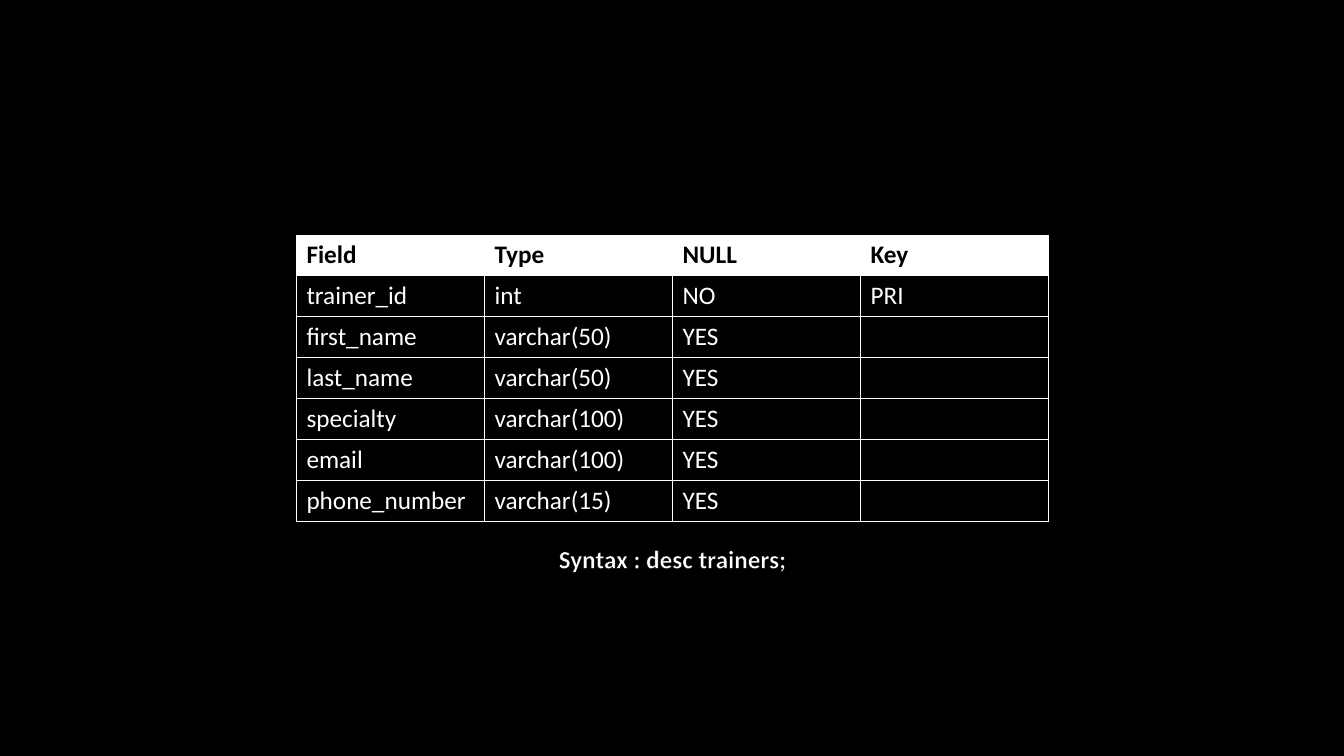
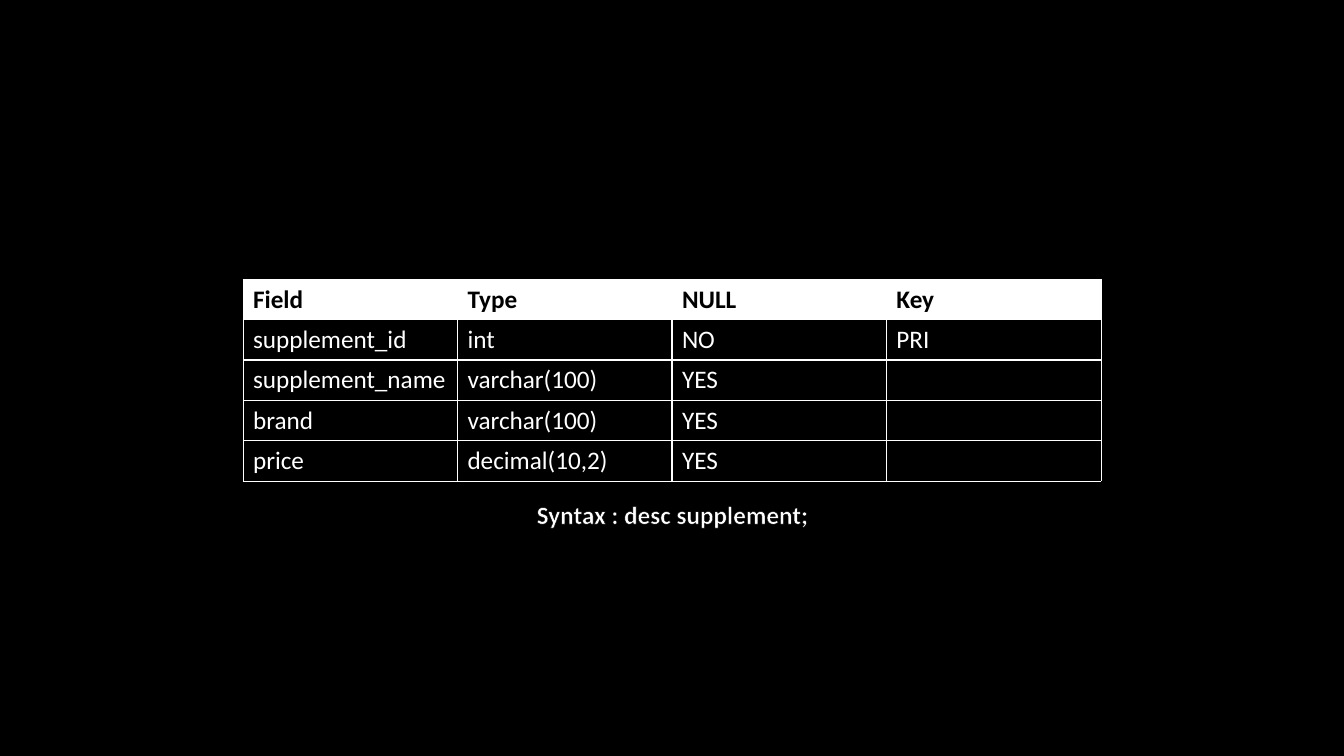
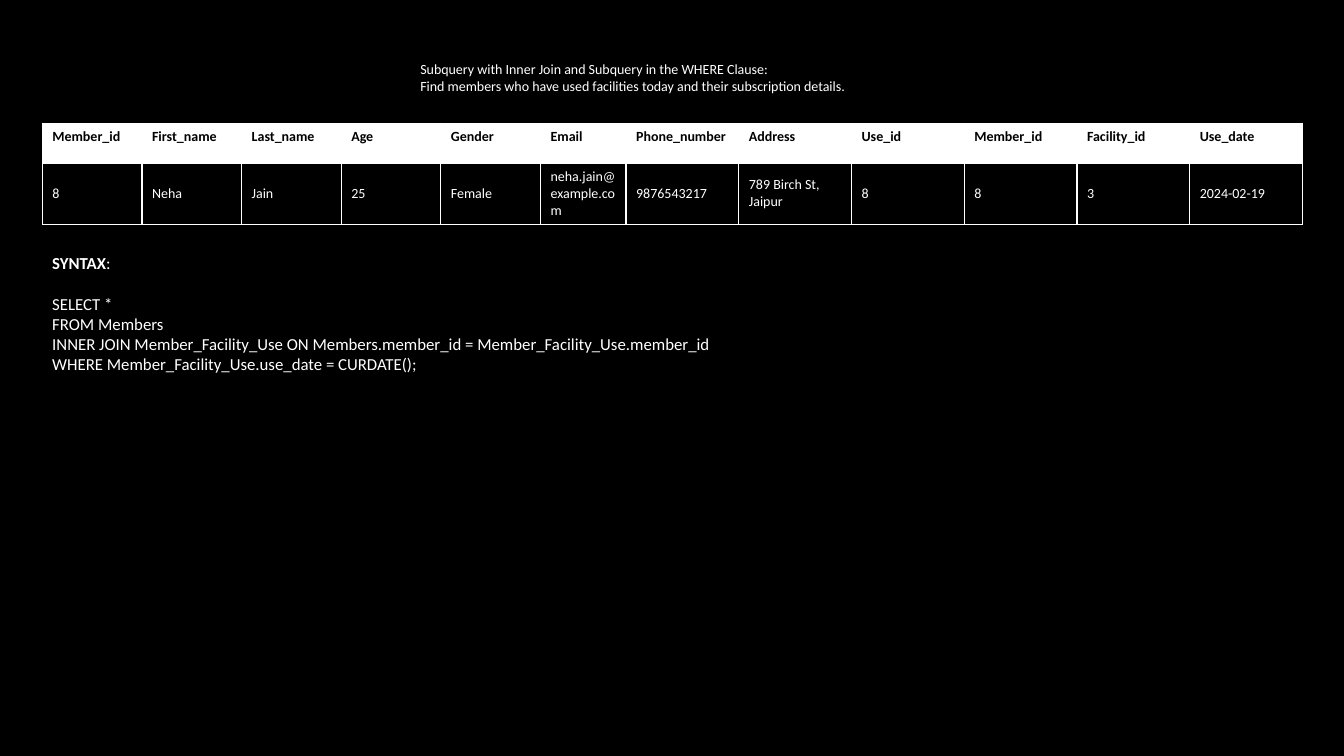
from lxml.etree import SubElement
from pptx import Presentation
from pptx.dml.color import RGBColor
from pptx.enum.text import MSO_ANCHOR as Anchor, MSO_AUTO_SIZE as AutoSize, PP_ALIGN as Align
from pptx.oxml import parse_xml
from pptx.oxml.ns import nsdecls, qn
from pptx.util import Inches, Pt

COLORS = {"ground": "000000", "ink": "FFFFFF"}
FONT = "Calibri"
SLIDE_WIDTH, SLIDE_HEIGHT = 13.33, 7.5
INNER_LINE, OUTER_LINE = 1, 0.5
DESC_HEADER = ["Field", "Type", "NULL", "Key"]
TRAINER_FIELDS = [
    ["trainer_id", "int", "NO", "PRI"],
    ["first_name", "varchar(50)", "YES", ""],
    ["last_name", "varchar(50)", "YES", ""],
    ["specialty", "varchar(100)", "YES", ""],
    ["email", "varchar(100)", "YES", ""],
    ["phone_number", "varchar(15)", "YES", ""],
]
SUPPLEMENT_FIELDS = [
    ["supplement_id", "int", "NO", "PRI"],
    ["supplement_name", "varchar(100)", "YES", ""],
    ["brand", "varchar(100)", "YES", ""],
    ["price", "decimal(10,2)", "YES", ""],
]
MEMBER_HEADER = [
    "Member_id", "First_name", "Last_name", "Age", "Gender", "Email",
    "Phone_number", "Address", "Use_id", "Member_id", "Facility_id", "Use_date",
]
MEMBER = [
    "8", "Neha", "Jain", "25", "Female", "neha.jain@example.com",
    "9876543217", "789 Birch St, Jaipur", "8", "8", "3", "2024-02-19",
]
MEMBER_COLUMNS = [0.99] * 5 + [0.85] + [1.12] * 6
QUESTION = [
    "Subquery with Inner Join and Subquery in the WHERE Clause:",
    "Find members who have used facilities today and their subscription details.",
]
QUERY = [
    "SYNTAX",
    "SELECT *",
    "FROM Members",
    "INNER JOIN Member_Facility_Use ON Members.member_id = Member_Facility_Use.member_id",
    "WHERE Member_Facility_Use.use_date = CURDATE();",
]


def rgb(name):
    """Return the named palette colour."""
    return RGBColor.from_string(COLORS[name])


def style_run(run, size, color="ink", bold=False):
    """Apply the deck font to a run."""
    font = run.font
    font.name, font.size, font.bold = FONT, Pt(size), bold
    font.color.rgb = rgb(color)


def add_slide(prs):
    """Add a blank slide on the dark ground."""
    slide = prs.slides.add_slide(prs.slide_layouts[6])
    slide.background.fill.solid()
    slide.background.fill.fore_color.rgb = rgb("ground")
    return slide


def add_lines(slide, box, lines, size, bold=False, align=Align.LEFT):
    """Place one paragraph per line in a box and return the paragraphs."""
    frame = slide.shapes.add_textbox(*map(Inches, box)).text_frame
    frame.word_wrap = True
    frame.auto_size = AutoSize.SHAPE_TO_FIT_TEXT
    frame.text = "\n".join(lines)
    for paragraph in frame.paragraphs:
        paragraph.alignment = align
        for run in paragraph.runs:
            style_run(run, size, bold=bold)
    return frame.paragraphs


def outline_run(run, width=0.75):
    """Outline the letters of a run in the ground colour."""
    line = parse_xml(
        f'<a:ln {nsdecls("a")} w="{Pt(width)}"><a:solidFill>'
        f'<a:srgbClr val="{COLORS["ground"]}"/></a:solidFill></a:ln>'
    )
    run.font._element.insert(0, line)


def set_borders(cell, widths):
    """Rule the left, right, top and bottom edges of a cell."""
    properties = cell._tc.get_or_add_tcPr()
    for index, (side, width) in enumerate(zip("LRTB", widths)):
        line = SubElement(properties, qn(f"a:ln{side}"), w=str(Pt(width)))
        fill = SubElement(line, qn("a:solidFill"))
        SubElement(fill, qn("a:srgbClr"), val=COLORS["ink"])
        properties.insert(index, line)


def add_grid(slide, box, rows, size, column_shares, row_shares):
    """Fill a box with a ruled table under an inverted header row."""
    left, top, width, height = box
    grid = slide.shapes.add_table(len(rows), len(rows[0]), *map(Inches, box)).table
    grid.horz_banding = False
    for column, share in zip(grid.columns, column_shares):
        column.width = Inches(width * share / sum(column_shares))
    for row, share in zip(grid.rows, row_shares):
        row.height = Inches(height * share / sum(row_shares))
    for r, values in enumerate(rows):
        is_header = r == 0
        for c, value in enumerate(values):
            cell = grid.cell(r, c)
            cell.text = value
            cell.vertical_anchor = Anchor.TOP if is_header else Anchor.MIDDLE
            cell.fill.solid()
            cell.fill.fore_color.rgb = rgb("ink" if is_header else "ground")
            for run in cell.text_frame.paragraphs[0].runs:
                style_run(run, size, "ground" if is_header else "ink", is_header)
            on_edge = (c == 0, c == len(values) - 1, is_header, r == len(rows) - 1)
            set_borders(cell, [OUTER_LINE if edge else INNER_LINE for edge in on_edge])


def add_desc_slide(prs, box, fields, syntax, syntax_top):
    """Add a slide that describes one database table."""
    slide = add_slide(prs)
    rows = [DESC_HEADER] + fields
    add_grid(slide, box, rows, 18, [1] * len(DESC_HEADER), [1] * len(rows))
    caption = add_lines(slide, (3.58, syntax_top, 6.18, 0.4), [syntax], 18, True, Align.CENTER)
    outline_run(caption[0].runs[0])


def add_query_slide(prs):
    """Add the slide with a question, its result and its query."""
    slide = add_slide(prs)
    add_lines(slide, (4.07, 0.55, 5.19, 0.44), QUESTION, 10)
    add_grid(slide, (0.42, 1.22, 12.5, 1), [MEMBER_HEADER, MEMBER], 10, MEMBER_COLUMNS, [0.4, 0.6])
    heading, first_line, *_ = add_lines(slide, (0.42, 2.46, 10.57, 1.31), QUERY, 12)
    heading.runs[0].font.bold = True
    colon = heading.add_run()
    colon.text = ":"
    style_run(colon, 12)
    first_line.space_before = Pt(14.6)


def main():
    """Build and save the deck."""
    prs = Presentation()
    prs.slide_width, prs.slide_height = Inches(SLIDE_WIDTH), Inches(SLIDE_HEIGHT)
    add_desc_slide(prs, (2.94, 2.33, 7.46, 2.84), TRAINER_FIELDS, "Syntax : desc trainers;", 5.34)
    add_desc_slide(prs, (2.41, 2.77, 8.51, 2), SUPPLEMENT_FIELDS, "Syntax : desc supplement;", 4.9)
    add_query_slide(prs)
    prs.save("out.pptx")


if __name__ == "__main__":
    main()
